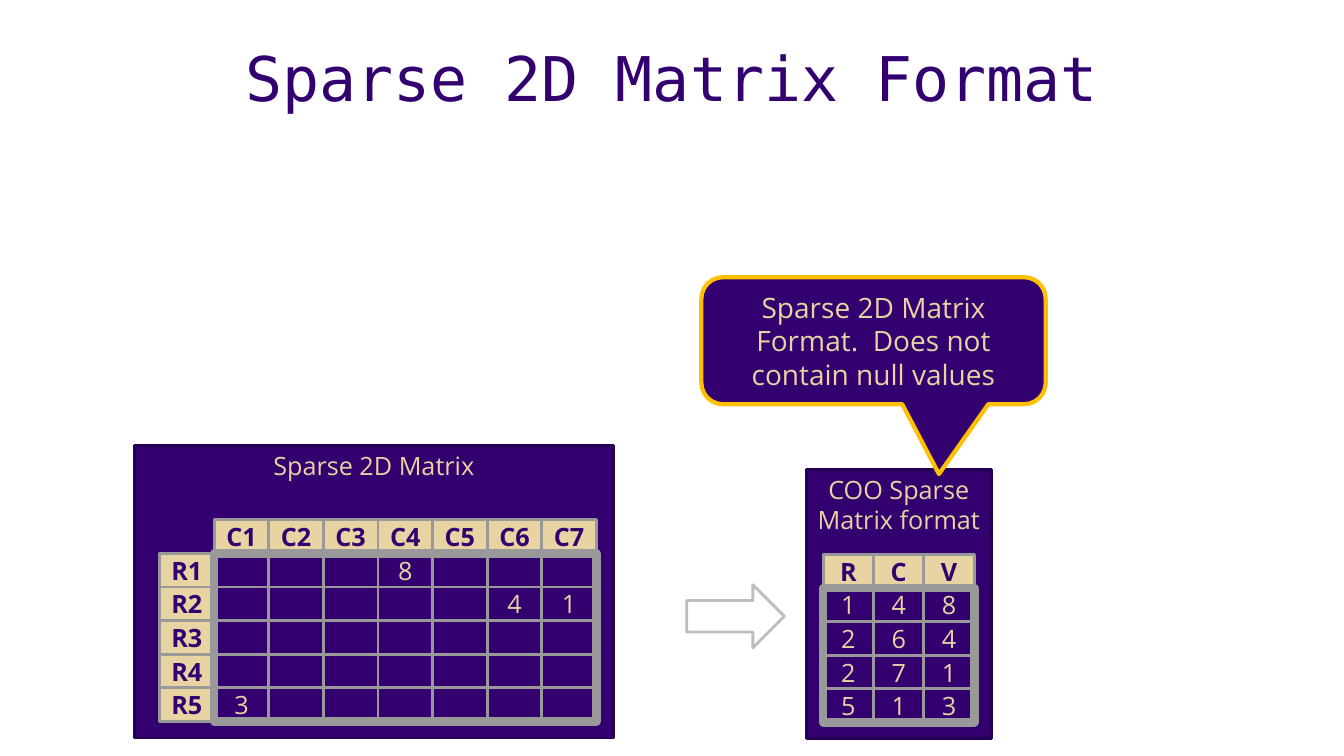
"""Build a slide that turns a sparse 2D matrix into its COO form."""
from dataclasses import dataclass
from typing import NamedTuple, Optional

from pptx import Presentation
from pptx.dml.color import RGBColor
from pptx.enum.shapes import MSO_SHAPE
from pptx.enum.text import MSO_ANCHOR, PP_ALIGN
from pptx.shapes.autoshape import Shape
from pptx.shapes.shapetree import GroupShapes, SlideShapes
from pptx.slide import Slide
from pptx.util import Pt

SCALE = 9525


@dataclass(frozen=True)
class Theme:
    """Colours, fonts and type sizes."""
    purple: str = "33006F"
    edge: str = "260052"
    sand: str = "E8D3A2"
    grid: str = "999999"
    gold: str = "FFC000"
    white: str = "FFFFFF"
    silver: str = "BDBDBD"
    head_font: str = "DejaVu Sans Mono"
    font: str = "Open Sans"
    head_size: int = 44
    note_size: int = 20
    size: int = 18


class Box(NamedTuple):
    """A place and size in px."""
    x: int
    y: int
    w: int
    h: int

    def emu(self) -> tuple[int, ...]:
        """Give the four lengths in EMU."""
        return tuple(side * SCALE for side in self)


class Style(NamedTuple):
    """Fill, line and text looks of a shape."""
    fill: Optional[str]
    line: str
    width: int
    ink: str = ""
    size: int = 0
    bold: bool = False


@dataclass(frozen=True)
class Matrix:
    """A titled panel holding a framed grid of cells."""
    panel: Box
    title: str
    cell: Box
    cols: tuple[str, ...]
    rows: tuple[str, ...]
    data: tuple[str, ...]


THEME = Theme()
PANEL = Style(THEME.purple, THEME.edge, 2, THEME.sand, THEME.size)
CELL = Style(THEME.purple, THEME.grid, 2, THEME.sand, THEME.size)
HEAD = Style(THEME.sand, THEME.grid, 2, THEME.purple, THEME.size, True)
FRAME = Style(None, THEME.grid, 6)
ARROW = Style(THEME.white, THEME.silver, 2)
NOTE = Style(THEME.purple, THEME.gold, 3, THEME.sand, THEME.note_size)

SPARSE = Matrix(
    Box(128, 424, 456, 279), "Sparse 2D Matrix", Box(204, 527, 52, 32),
    ("C1", "C2", "C3", "C4", "C5", "C6", "C7"), ("R1", "R2", "R3", "R4", "R5"),
    ("   8   ", "     41", "       ", "       ", "3      "))
COO = Matrix(
    Box(768, 447, 176, 256), "COO Sparse Matrix format", Box(784, 560, 48, 32),
    ("R", "C", "V"), (), ("148", "264", "271", "513"))


def draw(shapes: SlideShapes | GroupShapes, kind: MSO_SHAPE, box: Box,
         style: Style, text: str = "", top: bool = False) -> Shape:
    """Add one styled shape with centred text."""
    shape = shapes.add_shape(kind, *box.emu())
    shape.shadow.inherit = False
    if style.fill:
        shape.fill.solid()
        shape.fill.fore_color.rgb = RGBColor.from_string(style.fill)
    else:
        shape.fill.background()
    shape.line.color.rgb = RGBColor.from_string(style.line)
    shape.line.width = Pt(style.width)
    if text:
        frame = shape.text_frame
        frame.text = text
        frame.word_wrap = True
        frame.vertical_anchor = MSO_ANCHOR.TOP if top else MSO_ANCHOR.MIDDLE
        para = frame.paragraphs[0]
        para.alignment = PP_ALIGN.CENTER
        font = para.font
        font.name, font.size, font.bold = THEME.font, Pt(style.size), style.bold
        font.color.rgb = RGBColor.from_string(style.ink)
    return shape


def draw_matrix(slide: Slide, matrix: Matrix) -> None:
    """Add a panel with its heads, cells and frame."""
    shapes = slide.shapes.add_group_shape().shapes
    x, y, w, h = matrix.cell

    def put(row: int, col: int, style: Style, text: str) -> None:
        """Add the cell at a row and column."""
        box = Box(x + col * w, y + row * h, w, h)
        shape = draw(shapes, MSO_SHAPE.RECTANGLE, box, style, text)
        shape.text_frame.margin_left = shape.text_frame.margin_right = 0

    draw(shapes, MSO_SHAPE.RECTANGLE, matrix.panel, PANEL, matrix.title, True)
    for col, name in enumerate(matrix.cols):
        put(-1, col, HEAD, name)
    for row, name in enumerate(matrix.rows):
        put(row, -1, HEAD, name)
    for row, line in enumerate(matrix.data):
        for col, value in enumerate(line):
            put(row, col, CELL, value.strip())
    outer = Box(x, y, w * len(matrix.cols), h * len(matrix.data))
    draw(shapes, MSO_SHAPE.RECTANGLE, outer, FRAME)


def draw_title(slide: Slide, box: Box, text: str) -> None:
    """Fill and place the title."""
    title = slide.shapes.title
    title.left, title.top, title.width, title.height = box.emu()
    title.text_frame.text = text
    title.text_frame.vertical_anchor = MSO_ANCHOR.MIDDLE
    para = title.text_frame.paragraphs[0]
    para.alignment = PP_ALIGN.CENTER
    para.font.name, para.font.size = THEME.head_font, Pt(THEME.head_size)
    para.font.color.rgb = RGBColor.from_string(THEME.purple)


def main() -> None:
    """Build and save the slide."""
    deck = Presentation()
    deck.slide_width, deck.slide_height = 1280 * SCALE, 720 * SCALE
    slide = deck.slides.add_slide(deck.slide_layouts[5])
    draw_title(slide, Box(88, 24, 1104, 98), "Sparse 2D Matrix Format")
    for matrix in (SPARSE, COO):
        draw_matrix(slide, matrix)
    draw(slide.shapes, MSO_SHAPE.RIGHT_ARROW, Box(654, 557, 93, 60), ARROW)
    note = draw(slide.shapes, MSO_SHAPE.ROUNDED_RECTANGULAR_CALLOUT,
                Box(668, 264, 328, 121), NOTE,
                "Sparse 2D Matrix Format.  Does not contain null values")
    for index, value in enumerate((0.19, 1.05, 0.17)):
        note.adjustments[index] = value
    deck.save("out.pptx")


if __name__ == "__main__":
    main()
